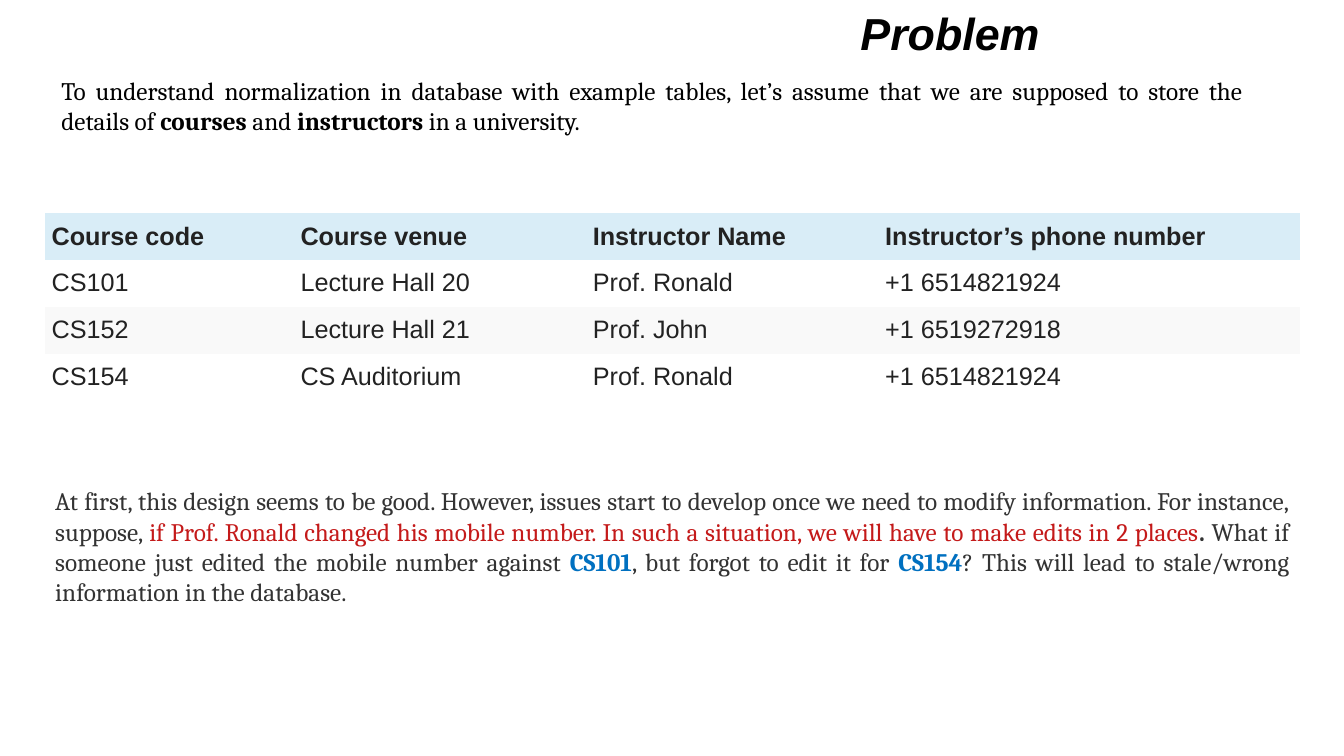
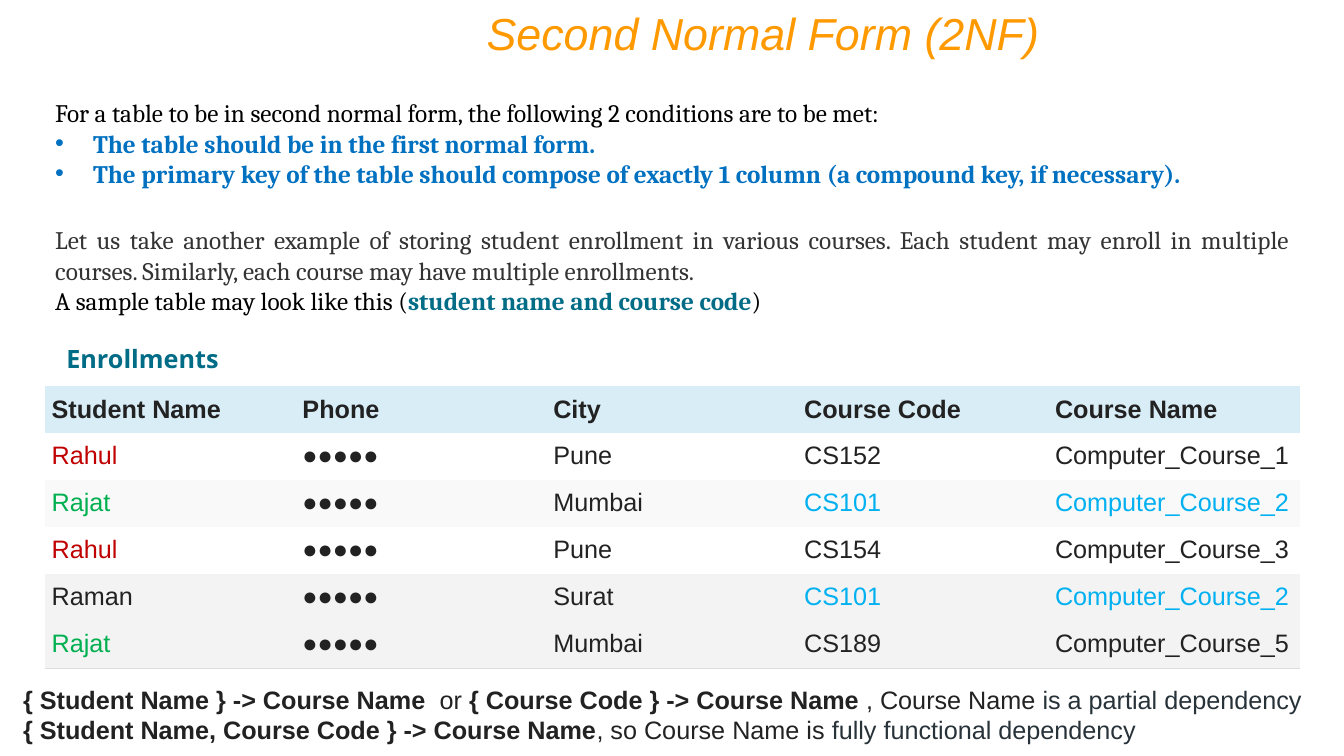
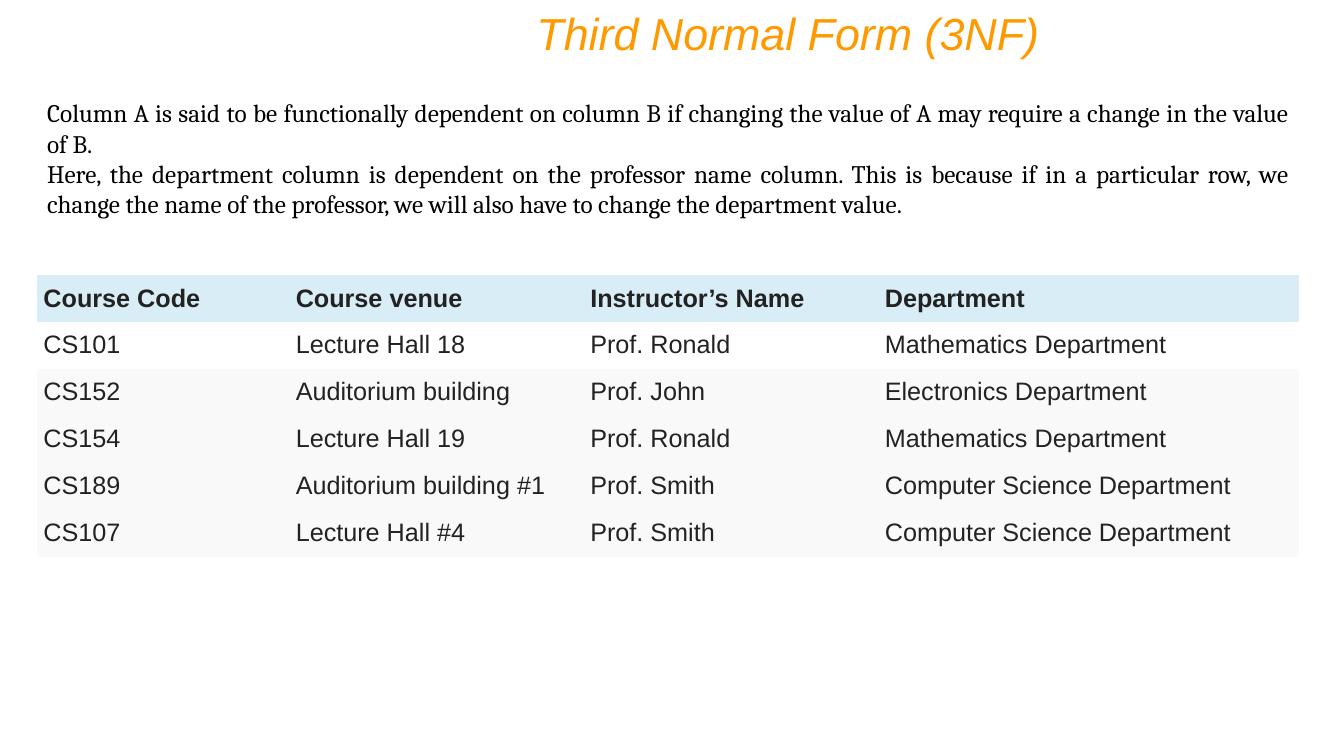
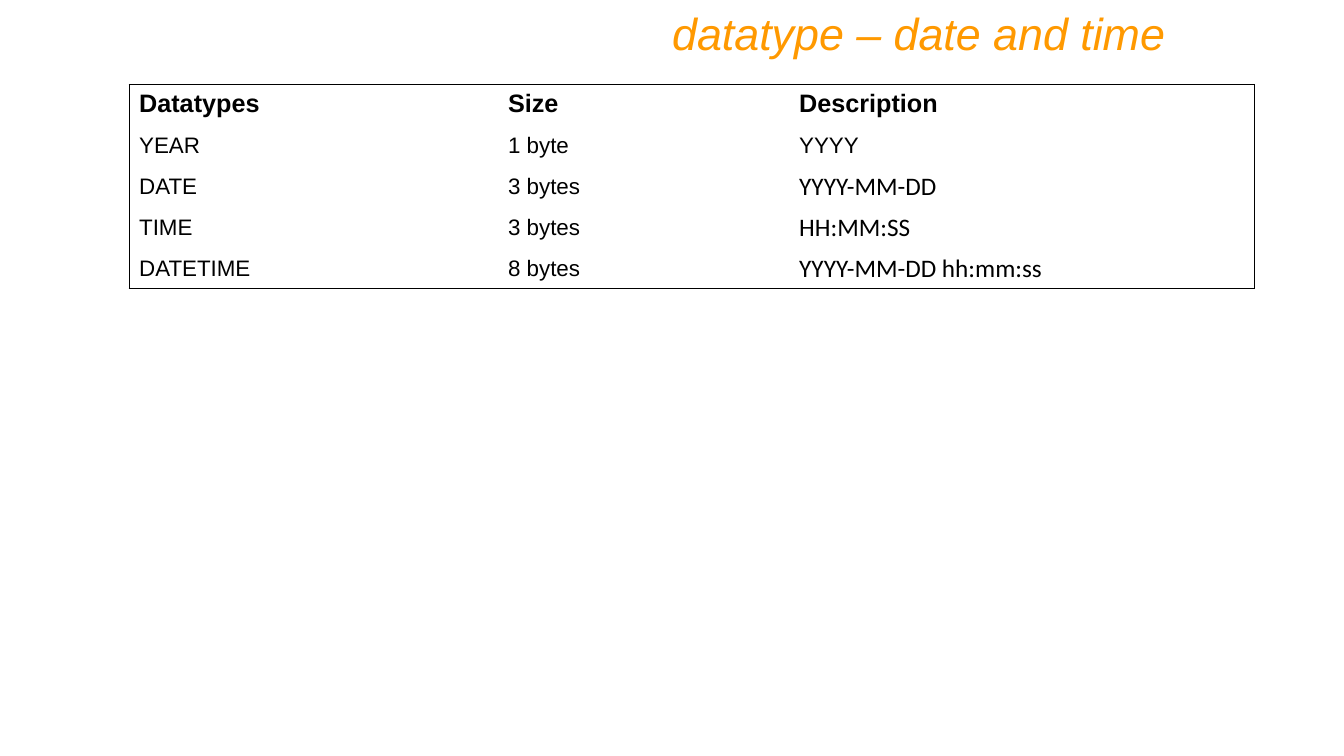
from lxml import etree
from pptx import Presentation
from pptx.dml.color import RGBColor
from pptx.enum import text
from pptx.oxml.ns import qn
from pptx.util import Pt

BLACK, WHITE, ORANGE = "000000", "FFFFFF", "FF9900"
INK, GREY, SLATE = "222222", "333333", "273239"
BLUE, SKY, TEAL = "0070C0", "00B0F0", "006C86"
RED, DARK_RED, GREEN = "C41A1A", "C00000", "00B050"
HEAD, PALE, PALER, RULE = "D9EDF7", "F3F3F3", "F9F9F9", "DDDDDD"
NO_STYLE = "{2D5ABB26-0587-4C30-8999-92F81FD0307C}"
ALIGN, ANCHOR = text.PP_ALIGN, text.MSO_ANCHOR


def rgb(value):
    """Turn a hex string into a colour."""
    return RGBColor.from_string(value)


class Deck:
    """Hold the shared style and the current slide."""

    def __init__(self):
        """Open an empty widescreen presentation."""
        self.prs = Presentation()
        self.prs.slide_width, self.prs.slide_height = Pt(960), Pt(540)
        self.s = None

    def font(self, r, color=BLACK, bold=False, italic=False, size=18, face="Cambria"):
        """Format one run."""
        f = r.font
        f.name, f.size, f.bold, f.italic = face, Pt(size), bold, italic
        f.color.rgb = rgb(color)

    def title(self, words, color=ORANGE, bold=False, left=210, width=540, fill=None):
        """Start a slide with a right-aligned italic title."""
        self.s = self.prs.slides.add_slide(self.prs.slide_layouts[5])
        sp = self.s.shapes.title
        sp.left, sp.top, sp.width, sp.height = Pt(left), Pt(0), Pt(width), Pt(46)
        if fill:
            sp.fill.solid()
            sp.fill.fore_color.rgb = rgb(fill)
        sp.text_frame.text = words
        p = sp.text_frame.paragraphs[0]
        p.alignment = ALIGN.RIGHT
        self.font(p.runs[0], color, bold, True, 32, "Arial")

    def bullet(self, p, color):
        """Give a paragraph a hanging round bullet."""
        pPr = p._p.get_or_add_pPr()
        pPr.set("marL", str(Pt(27)))
        pPr.set("indent", str(-Pt(27)))
        clr = etree.SubElement(pPr, qn("a:buClr"))
        etree.SubElement(clr, qn("a:srgbClr"), val=color)
        etree.SubElement(pPr, qn("a:buFont"), typeface="Arial")
        etree.SubElement(pPr, qn("a:buChar"), char="•")

    def text(self, box, paragraphs, align=ALIGN.LEFT, face="Cambria", bullets=()):
        """Add a text box; a paragraph is a list of (words, colour, bold) runs."""
        tf = self.s.shapes.add_textbox(*map(Pt, box)).text_frame
        tf.word_wrap = True
        tf.auto_size = text.MSO_AUTO_SIZE.SHAPE_TO_FIT_TEXT
        for i, runs in enumerate(paragraphs):
            p = tf.add_paragraph() if i else tf.paragraphs[0]
            p.alignment = align
            if i in bullets:
                self.bullet(p, runs[0][1])
            for words, *look in runs:
                r = p.add_run()
                r.text = words
                self.font(r, *look, face=face)

    def borders(self, cell, sides, color):
        """Draw the given sides of a cell and clear the others."""
        tcPr = cell._tc.get_or_add_tcPr()
        for side in "LRTB":
            ln = etree.SubElement(tcPr, qn("a:ln" + side), w=str(Pt(0.75)))
            if side in sides:
                fill = etree.SubElement(ln, qn("a:solidFill"))
                etree.SubElement(fill, qn("a:srgbClr"), val=color)
            else:
                etree.SubElement(ln, qn("a:noFill"))

    def table(self, left, top, widths, rows, fills, ruled, rule=RULE, color=INK,
              height=33.5, size=18, inset=(4.5, 6), boxed=False,
              anchors=(ANCHOR.MIDDLE, ANCHOR.TOP), special=None):
        """Add a table with lines under the ruled rows and special text styles."""
        frame = self.s.shapes.add_table(len(rows), len(widths), Pt(left), Pt(top),
                                        Pt(sum(widths)), Pt(height * len(rows)))
        tbl = frame.table
        tbl._tbl.tblPr.find(qn("a:tableStyleId")).text = NO_STYLE
        for col, width in zip(tbl.columns, widths):
            col.width = Pt(width)
        for i, row in enumerate(rows):
            tbl.rows[i].height = Pt(height)
            for j, words in enumerate(row):
                cell = tbl.cell(i, j)
                sides = "B" if i in ruled else ""
                if boxed:
                    sides += "L" * (j == 0) + "R" * (j == len(row) - 1) + "T" * (i == 0)
                self.borders(cell, sides, rule)
                cell.fill.solid()
                cell.fill.fore_color.rgb = rgb(fills[i])
                cell.margin_left = cell.margin_right = Pt(inset[0])
                cell.margin_top = cell.margin_bottom = Pt(inset[1])
                cell.vertical_anchor = anchors[i > 0]
                cell.text_frame.text = words
                look = dict(color=color, bold=i == 0, size=size if i else 18, face="Arial")
                look.update((special or {}).get(words, {}))
                self.font(cell.text_frame.paragraphs[0].runs[0], **look)


def problem(d):
    """Build the slide on the problem."""
    d.title("Problem", BLACK, True, fill=WHITE)
    d.text((36.7, 50.4, 858.2, 51), [[
        ("To understand normalization in database with example tables, let’s assume that "
         "we are supposed to store the details of ",),
        ("courses", BLACK, True), (" and ",), ("instructors", BLACK, True),
        (" in a university.",)]], ALIGN.JUSTIFY)
    d.table(32.4, 152, (177.8, 208.8, 208.8, 301), [
        ("Course code", "Course venue", "Instructor Name", "Instructor’s phone number"),
        ("CS101", "Lecture Hall 20", "Prof. Ronald", "+1 6514821924"),
        ("CS152", "Lecture Hall 21", "Prof. John", "+1 6519272918"),
        ("CS154", "CS Auditorium", "Prof. Ronald", "+1 6514821924"),
    ], (HEAD, WHITE, PALER, WHITE), range(3))
    d.text((32.4, 343.4, 895.7, 94.3), [[
        ("At first, this design seems to be good. However, issues start to develop once we "
         "need to modify information. For instance, suppose, ", GREY),
        ("if Prof. Ronald changed his mobile number. In such a situation, we will have to "
         "make edits in 2 places", RED),
        (". ", GREY, True),
        ("What if someone just edited the mobile number against ", GREY),
        ("CS101", BLUE, True), (", but forgot to edit it for ", GREY),
        ("CS154", BLUE, True),
        ("? This will lead to stale/wrong information in the database.", GREY),
    ]], ALIGN.JUSTIFY)


def second_form(d):
    """Build the slide on the second normal form."""
    d.title("Second Normal Form (2NF)")
    d.text((32.4, 66.2, 895.7, 72.7), [
        [("For a table to be in second normal form, the following 2 conditions are to be met:",)],
        [("The table should be in the first normal form.", BLUE, True)],
        [("The primary key of the table should compose of exactly 1 column (a compound key, "
          "if necessary).", BLUE, True)],
    ], bullets=(1, 2))
    d.text((32.4, 157, 895.7, 72.7), [
        [("Let us take another example of storing student enrollment in various courses. Each "
          "student may enroll in multiple courses. Similarly, each course may have multiple "
          "enrollments.", GREY)],
        [("A sample table may look like this (",),
         ("student name and course code", TEAL, True), (")",)],
    ], ALIGN.JUSTIFY)
    d.table(32.4, 275.8, (179.2,) * 5, [
        ("Student Name", "Phone", "City", "Course Code", "Course Name"),
        ("Rahul", "●●●●●", "Pune", "CS152", "Computer_Course_1"),
        ("Rajat", "●●●●●", "Mumbai", "CS101", "Computer_Course_2"),
        ("Rahul", "●●●●●", "Pune", "CS154", "Computer_Course_3"),
        ("Raman", "●●●●●", "Surat", "CS101", "Computer_Course_2"),
        ("Rajat", "●●●●●", "Mumbai", "CS189", "Computer_Course_5"),
    ], (HEAD, WHITE, PALER, WHITE, PALE, PALE), range(6), special={
        "Rahul": {"color": DARK_RED}, "Rajat": {"color": GREEN},
        "CS101": {"color": SKY}, "Computer_Course_2": {"color": SKY}})
    d.text((40.3, 242, 229.7, 28.8), [[("Enrollments", TEAL, True)]], face="Open Sans")
    d.text((9.4, 485.3, 941, 51), [
        [("{ Student Name } -> Course Name  ", INK, True), ("or ", INK),
         ("{ Course Code } -> Course Name ", INK, True), (", Course Name ", INK),
         ("is a partial dependency", SLATE)],
        [("{ Student Name, Course Code } -> Course Name", INK, True),
         (", so Course Name is ", INK), ("fully functional dependency", SLATE)],
    ], face="Arial")


def third_form(d):
    """Build the slide on the third normal form."""
    d.title("Third Normal Form (3NF)")
    d.text((26.6, 66.2, 901.4, 94.3), [
        [("Column A is said to be functionally dependent on column B if changing the value of "
          "A may require a change in the value of B.",)],
        [("Here, the department column is dependent on the professor name column. This is "
          "because if in a particular row, we change the name of the professor, we will also "
          "have to change the department value.",)],
    ], ALIGN.JUSTIFY)
    d.table(26.6, 196.4, (180.2, 210.4, 210.4, 300.4), [
        ("Course Code", "Course venue", "Instructor’s Name", "Department"),
        ("CS101", "Lecture Hall 18", "Prof. Ronald", "Mathematics Department"),
        ("CS152", "Auditorium building", "Prof. John", "Electronics Department"),
        ("CS154", "Lecture Hall 19", "Prof. Ronald", "Mathematics Department"),
        ("CS189", "Auditorium building #1", "Prof. Smith", "Computer Science Department"),
        ("CS107", "Lecture Hall #4", "Prof. Smith", "Computer Science Department"),
    ], (HEAD, WHITE) + (PALER,) * 4, range(5))


def date_types(d):
    """Build the slide on date and time types."""
    d.title("datatype – date and time", left=120, width=720)
    formats = ("YYYY-MM-DD", "HH:MM:SS", "YYYY-MM-DD hh:mm:ss")
    d.table(92.2, 60.3, (263.5, 208, 332.7), [
        ("Datatypes", "Size", "Description"),
        ("YEAR", "1 byte", "YYYY"),
        ("DATE", "3 bytes", formats[0]),
        ("TIME", "3 bytes", formats[1]),
        ("DATETIME", "8 bytes", formats[2]),
    ], (WHITE,) * 5, (0, 2, 4), BLACK, BLACK, 29.2, 16, (7.2, 3.6), True,
        (ANCHOR.TOP, ANCHOR.MIDDLE),
        {words: {"size": 18, "face": "Calibri"} for words in formats})


def main():
    """Build and save the deck."""
    d = Deck()
    for build in (problem, second_form, third_form, date_types):
        build(d)
    d.prs.save("out.pptx")


if __name__ == "__main__":
    main()
